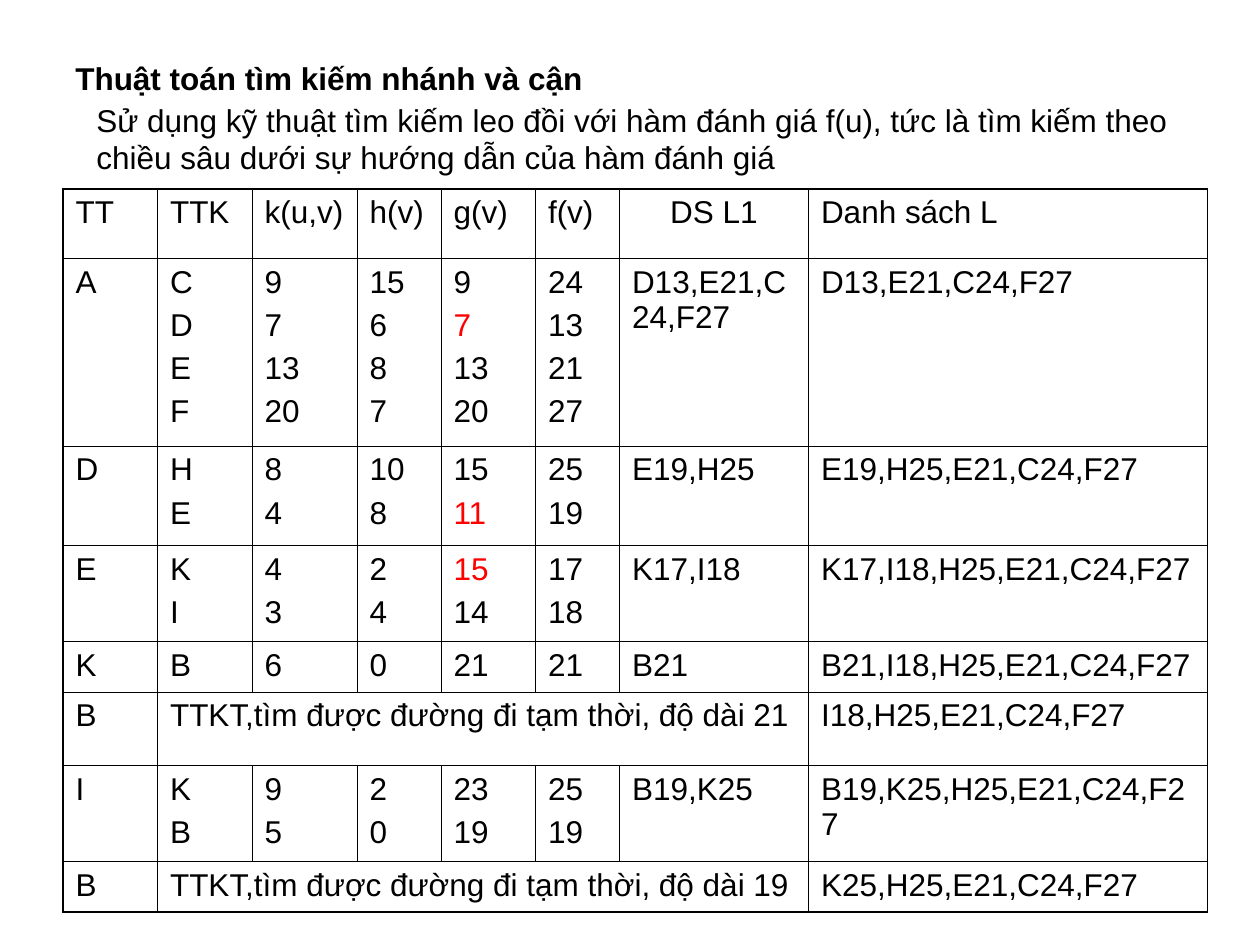
from lxml.etree import SubElement
from pptx import Presentation
from pptx.dml.color import RGBColor
from pptx.enum.text import MSO_AUTO_SIZE, PP_ALIGN
from pptx.oxml.ns import qn
from pptx.util import Inches, Pt

HUE = {"ink": "000000", "mark": "FF0000"}
COL = Inches(1) / 12      # grid column
ROW = Inches(1) / 100     # grid row

deck = Presentation()
deck.slide_width, deck.slide_height = Inches(10), Inches(7.5)
slide = deck.slides.add_slide(deck.slide_layouts[6])


def write(frame, text, gap, bold=False):
    """One paragraph per part between slashes; a leading * marks it red."""
    for num, part in enumerate(text.split("/")):
        para = frame.add_paragraph() if num else frame.paragraphs[0]
        para.space_before = Pt(gap)
        run = para.add_run()
        run.text = part.lstrip("*")
        run.font.name, run.font.size, run.font.bold = "Arial", Pt(18), bold
        tone = "mark" if part.startswith("*") else "ink"
        run.font.color.rgb = RGBColor.from_string(HUE[tone])


def edge(cell, side, width):
    """Draw one border of a table cell."""
    line = SubElement(cell._tc.get_or_add_tcPr(), qn("a:ln" + side), w=str(Pt(width)))
    fill = SubElement(line, qn("a:solidFill"))
    SubElement(fill, qn("a:srgbClr"), val=HUE["ink"])


# Heading and introduction
heads = [
    (6, 42, 55, 40, True, "Thuật toán tìm kiếm nhánh và cận"),
    (8, 75, 108, 70, False,
     "Sử dụng kỹ thuật tìm kiếm leo đồi với hàm đánh giá f(u), tức là tìm kiếm theo "
     "chiều sâu dưới sự hướng dẫn của hàm đánh giá"),
]
for left, top, wide, high, bold, text in heads:
    box = slide.shapes.add_textbox(int(left * COL), int(top * ROW), int(wide * COL), int(high * ROW))
    box.text_frame.word_wrap = True
    box.text_frame.auto_size = MSO_AUTO_SIZE.SHAPE_TO_FIT_TEXT
    write(box.text_frame, text, 11.2, bold)

# Search table: a row with three entries spans its middle one
cols = [9, 9, 10, 8, 9, 8, 18, 38]
rows = [55, 149, 79, 76, 40, 58, 76, 40]
data = [
    ["TT", "TTK", "k(u,v)", "h(v)", "g(v)", "f(v)", "DS L1", "Danh sách L"],
    ["A", "C/D/E/F", "9/7/13/20", "15/6/8/7", "9/*7/13/20", "24/13/21/27",
     "D13,E21,C24,F27", "D13,E21,C24,F27"],
    ["D", "H/E", "8/4", "10/8", "15/*11", "25/19", "E19,H25", "E19,H25,E21,C24,F27"],
    ["E", "K/I", "4/3", "2/4", "*15/14", "17/18", "K17,I18", "K17,I18,H25,E21,C24,F27"],
    ["K", "B", "6", "0", "21", "21", "B21", "B21,I18,H25,E21,C24,F27"],
    ["B", "TTKT,tìm được đường đi tạm thời, độ dài 21", "I18,H25,E21,C24,F27"],
    ["I", "K/B", "9/5", "2/0", "23/19", "25/19", "B19,K25", "B19,K25,H25,E21,C24,F27"],
    ["B", "TTKT,tìm được đường đi tạm thời, độ dài 19", "K25,H25,E21,C24,F27"],
]
grid = slide.shapes.add_table(
    len(rows), len(cols), int(6 * COL), int(150 * ROW),
    int(sum(cols) * COL), int(sum(rows) * ROW)).table
grid.first_row = grid.horz_banding = False
for col, wide in zip(grid.columns, cols):
    col.width = int(wide * COL)
for row, high in zip(grid.rows, rows):
    row.height = int(high * ROW)

# Cell text
last = len(cols) - 1
for y, line in enumerate(data):
    spot = range(len(cols))
    if len(line) == 3:
        grid.cell(y, 1).merge(grid.cell(y, last - 1))
        spot = (0, 1, last)
    for x, text in zip(spot, line):
        write(grid.cell(y, x).text_frame, text, 4.5)
grid.cell(0, 6).text_frame.paragraphs[0].alignment = PP_ALIGN.CENTER

# Borders: heavier around the outside
for y in range(len(rows)):
    for x in range(len(cols)):
        cell = grid.cell(y, x)
        outer = {"L": x == 0, "R": x == last, "T": y == 0, "B": y == len(rows) - 1}
        for side, heavy in outer.items():
            edge(cell, side, 1.08 if heavy else 0.45)
        cell.fill.background()

deck.save("out.pptx")
